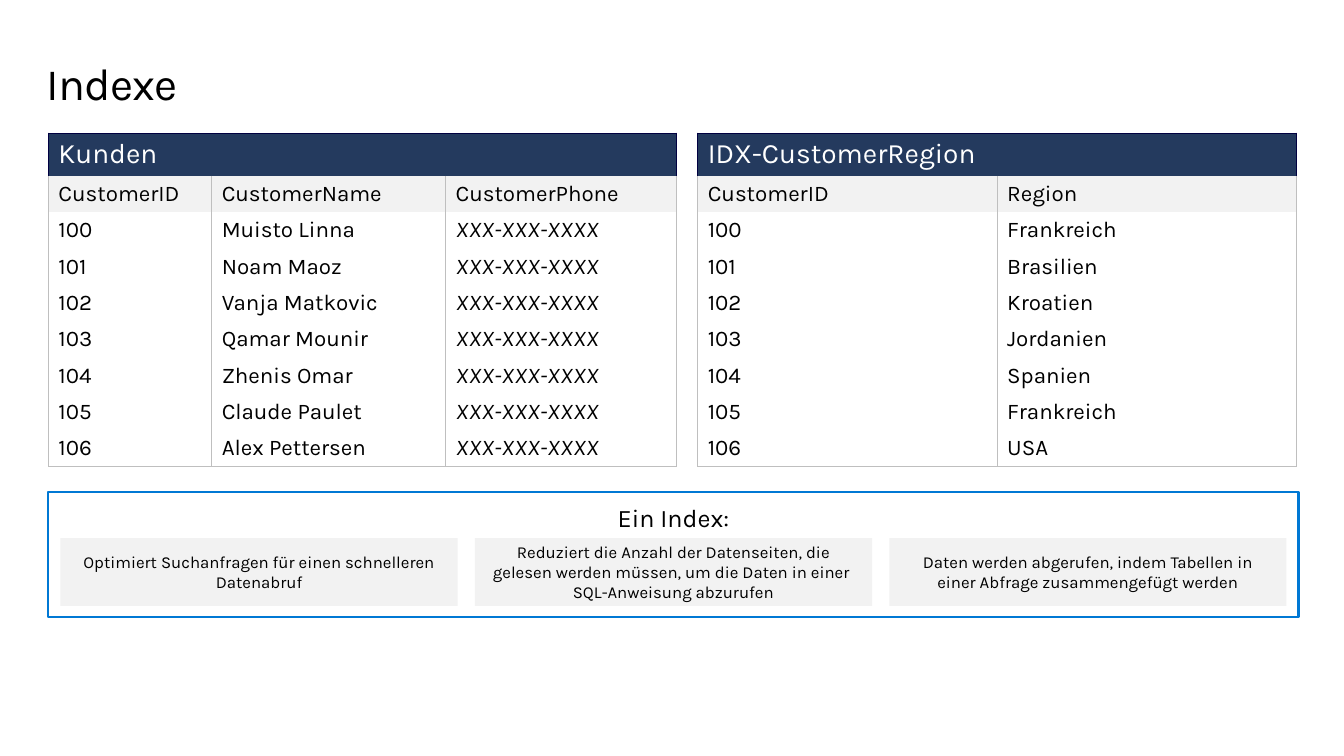
from dataclasses import dataclass

from lxml import etree
from pptx import Presentation
from pptx.dml.color import RGBColor
from pptx.enum.shapes import MSO_SHAPE
from pptx.enum.text import MSO_ANCHOR, PP_ALIGN
from pptx.oxml.ns import qn
from pptx.util import Inches, Pt

RECTANGLE = MSO_SHAPE.RECTANGLE
TOP, MIDDLE = MSO_ANCHOR.TOP, MSO_ANCHOR.MIDDLE
LEFT, CENTER = PP_ALIGN.LEFT, PP_ALIGN.CENTER
TITLE_ONLY = 5
PLAIN_TABLE = "{2D5ABB26-0587-4C30-8999-92F81FD0307C}"


@dataclass(frozen=True)
class Theme:
    font: str = "Karla"
    text: str = "000000"
    light_text: str = "FFFFFF"
    navy: str = "243A5E"
    navy_edge: str = "000041"
    grid: str = "BFBFBF"
    panel: str = "F2F2F2"
    accent: str = "0078D4"
    title_size: int = 32
    header_size: int = 20
    cell_size: int = 16
    heading_size: int = 18
    card_size: int = 12


THEME = Theme()

CUSTOMER_NAMES = ["Muisto Linna", "Noam Maoz", "Vanja Matkovic", "Qamar Mounir",
                  "Zhenis Omar", "Claude Paulet", "Alex Pettersen"]
REGIONS = ["Frankreich", "Brasilien", "Kroatien", "Jordanien",
           "Spanien", "Frankreich", "USA"]
PHONE = "XXX-XXX-XXXX"
CUSTOMERS = [["CustomerID", "CustomerName", "CustomerPhone"]] + [
    [str(number), name, PHONE] for number, name in enumerate(CUSTOMER_NAMES, 100)]
REGION_INDEX = [["CustomerID", "Region"]] + [
    [str(number), region] for number, region in enumerate(REGIONS, 100)]
BENEFITS = [
    "Optimiert Suchanfragen für einen schnelleren Datenabruf",
    "Reduziert die Anzahl der Datenseiten, die gelesen werden müssen, "
    "um die Daten in einer \nSQL-Anweisung abzurufen",
    "Daten werden abgerufen, indem Tabellen in einer Abfrage zusammengefügt werden",
]


def write(frame, text, size, color=THEME.text, align=LEFT):
    para = frame.paragraphs[0]
    para.text = text
    para.alignment = align
    for span in para.runs:
        span.font.name = THEME.font
        span.font.size = Pt(size)
        span.font.color.rgb = RGBColor.from_string(color)
    return para


def set_insets(frame, left, right):
    frame.word_wrap = True
    frame.margin_left, frame.margin_right = Inches(left), Inches(right)
    frame.margin_top = frame.margin_bottom = Inches(0.1)


def set_borders(cell, **colors):
    properties = cell._tc.get_or_add_tcPr()
    for side in ("L", "R", "T", "B"):
        line = etree.SubElement(properties, qn(f"a:ln{side}"), w=str(Pt(0.5)))
        if side in colors:
            fill = etree.SubElement(line, qn("a:solidFill"))
            etree.SubElement(fill, qn("a:srgbClr"), val=colors[side])
        else:
            etree.SubElement(line, qn("a:noFill"))


def set_fill(cell, color):
    cell.fill.solid()
    cell.fill.fore_color.rgb = RGBColor.from_string(color)


def add_title(page, text, left, top, width, height):
    title = page.shapes.title
    title.left, title.top = Inches(left), Inches(top)
    title.width, title.height = Inches(width), Inches(height)
    frame = title.text_frame
    set_insets(frame, 0, 0.16)
    frame.vertical_anchor = MIDDLE
    para = write(frame, text, THEME.title_size)
    para.line_spacing = 0.9
    para.runs[0].font._element.set("spc", "-50")


def add_data_table(page, heading, rows, left, top, widths):
    header_height, row_height = 0.42, 0.36
    height = header_height + row_height * len(rows)
    graphic = page.shapes.add_table(len(rows) + 1, len(widths), Inches(left),
                                    Inches(top), Inches(sum(widths)), Inches(height))
    table = graphic.table
    table._tbl.tblPr.find(qn("a:tableStyleId")).text = PLAIN_TABLE
    table.first_row = table.horz_banding = False
    for column, width in zip(table.columns, widths):
        column.width = Inches(width)
    for index, row in enumerate(table.rows):
        row.height = Inches(row_height if index else header_height)

    last = len(widths) - 1
    for index in range(len(widths)):
        cell = table.cell(0, index)
        edges = {"T": THEME.navy_edge}
        if index == 0:
            edges["L"] = THEME.navy_edge
        if index == last:
            edges["R"] = THEME.navy_edge
        set_borders(cell, **edges)
        set_fill(cell, THEME.navy)
        cell.vertical_anchor = MIDDLE
    write(table.cell(0, 0).text_frame, heading, THEME.header_size, THEME.light_text)

    for row_index, values in enumerate(rows, 1):
        for column_index, value in enumerate(values):
            cell = table.cell(row_index, column_index)
            cell.vertical_anchor = MIDDLE
            if row_index == 1:
                set_borders(cell, L=THEME.grid, R=THEME.grid)
                set_fill(cell, THEME.panel)
            else:
                set_borders(cell, L=THEME.grid, R=THEME.grid, B=THEME.grid)
                cell.fill.background()
            para = write(cell.text_frame, value, THEME.cell_size)
            para.runs[0].font.italic = value == PHONE


def add_box(page, text, size, anchor, left, top, width, height):
    box = page.shapes.add_shape(RECTANGLE, Inches(left), Inches(top),
                                Inches(width), Inches(height))
    box.shadow.inherit = False
    box.fill.background()
    box.line.fill.background()
    set_insets(box.text_frame, 0.15, 0.15)
    box.text_frame.vertical_anchor = anchor
    write(box.text_frame, text, size, align=CENTER)
    return box


def add_benefits(page, heading, benefits, left, top, width, height):
    panel = add_box(page, heading, THEME.heading_size, TOP, left, top, width, height)
    panel.line.color.rgb = RGBColor.from_string(THEME.accent)
    panel.line.width = Pt(1.5)
    margin, gap = 0.12, 0.17
    count = len(benefits)
    card_width = (width - 2 * margin - gap * (count - 1)) / count
    for index, benefit in enumerate(benefits):
        card = add_box(page, benefit, THEME.card_size, MIDDLE,
                       left + margin + index * (card_width + gap), top + 0.46,
                       card_width, 0.67)
        card.fill.solid()
        card.fill.fore_color.rgb = RGBColor.from_string(THEME.panel)


def main():
    deck = Presentation()
    deck.slide_width, deck.slide_height = Inches(13.33), Inches(7.5)
    page = deck.slides.add_slide(deck.slide_layouts[TITLE_ONLY])
    add_title(page, "Indexe", 0.46, 0.48, 12.4, 0.74)
    add_data_table(page, "Kunden", CUSTOMERS, 0.48, 1.32, [1.62, 2.32, 2.29])
    add_data_table(page, "IDX-CustomerRegion", REGION_INDEX, 6.92, 1.32, [2.97, 2.97])
    add_benefits(page, "Ein Index:", BENEFITS, 0.48, 4.88, 12.4, 1.24)
    deck.save("out.pptx")


if __name__ == "__main__":
    main()
